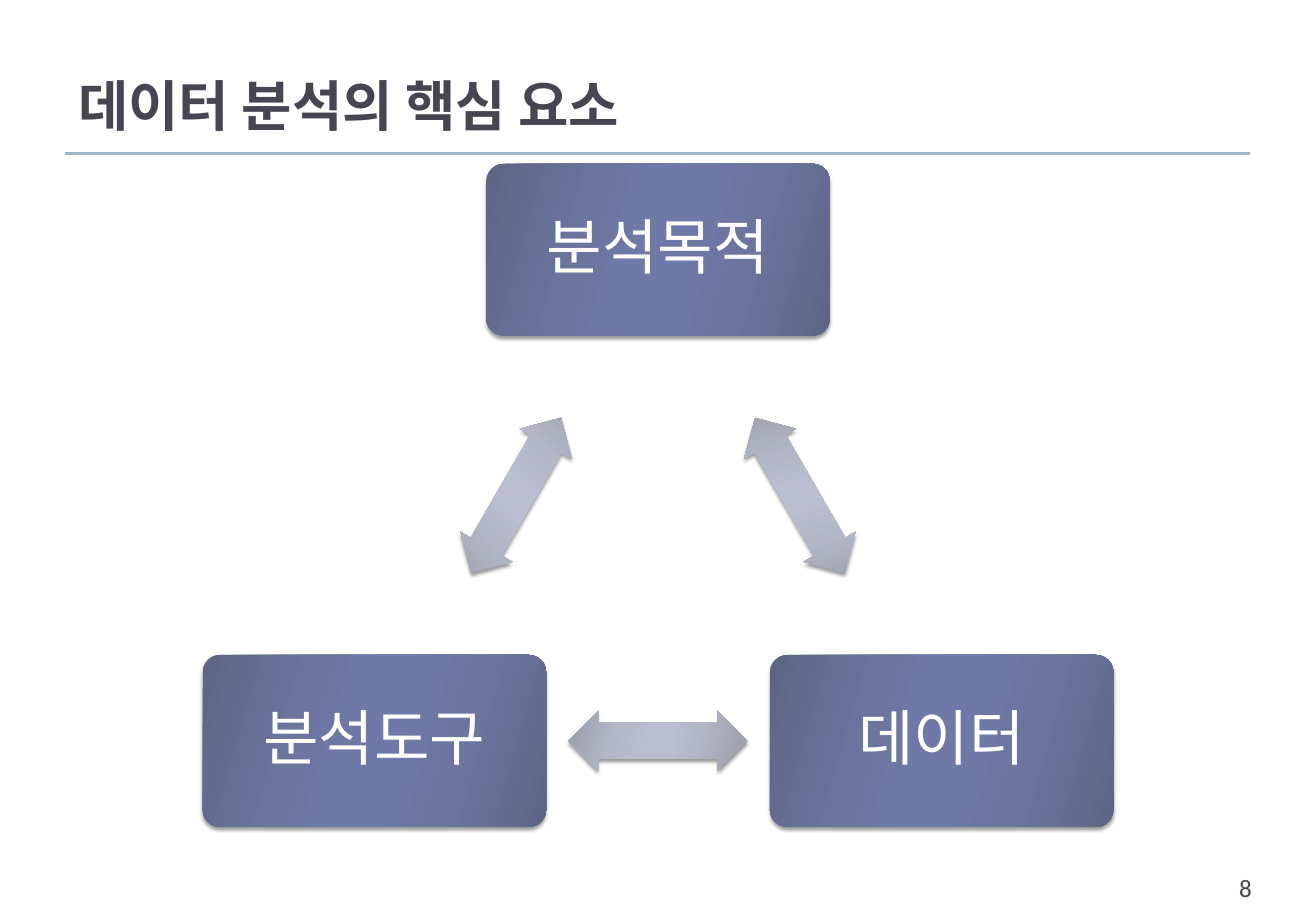
import math

from lxml import etree
from pptx import Presentation
from pptx import util as u
from pptx.dml.color import RGBColor
from pptx.enum import shapes, text
from pptx.oxml.ns import qn

WIDTH, HEIGHT = 19.69, 13.78
MARGIN = 0.98
INK, RULE, WHITE = "464653", "9FB8CD", "FFFFFF"
STOPS = (0, 30, 45, 55, 73, 100)
NODE_SHADES = ("5D6585", "6B759E", "6E79A7")
ARROW_SHADES = ("9A9CA9", "B2B6C6", "BABED0")
ELEMENTS = ("분석목적", "데이터", "분석도구")
NODE_SIZE, ARROW_SIZE = (5.14, 2.57), (2.68, 0.9)
RADIUS = 4.9


def color(value):
    """Turn a hex string into a colour."""
    return RGBColor.from_string(value)


def inches(*lengths):
    """Turn numbers into inch lengths."""
    return [u.Inches(length) for length in lengths]


def write(frame, words, size, font, ink, inset, align=None, bold=False, **layout):
    """Set one paragraph of styled text in a frame."""
    side, top = inches(*inset)
    layout.update(word_wrap=True, margin_left=side, margin_right=side,
                  margin_top=top, margin_bottom=top)
    for name, value in layout.items():
        setattr(frame, name, value)
    paragraph = frame.paragraphs[0]
    paragraph.text = words
    paragraph.alignment = align
    for name, value in {"name": font, "size": u.Pt(size), "bold": bold}.items():
        setattr(paragraph.font, name, value)
    paragraph.font.color.rgb = color(ink)
    return paragraph


def add_element(parent, tag, **attributes):
    """Append a DrawingML element."""
    return etree.SubElement(parent, qn(tag), attributes)


def add_glossy(slide, kind, center, size, shades, adjustments):
    """Place a gradient shape with a soft shadow around a centre point."""
    corner = [middle - length / 2 for middle, length in zip(center, size)]
    glossy = slide.shapes.add_shape(kind, *inches(*corner, *size))
    for index, value in enumerate(adjustments):
        glossy.adjustments[index] = value
    glossy.line.fill.background()
    glossy.fill.gradient()
    glossy.fill.gradient_angle = 344
    properties = glossy.element.spPr
    stops = properties.find(qn("a:gradFill")).find(qn("a:gsLst"))
    for stop in list(stops):
        stops.remove(stop)
    for position, shade in zip(STOPS, shades + shades[::-1]):
        stop = add_element(stops, "a:gs", pos=str(position * 1000))
        add_element(stop, "a:srgbClr", val=shade)
    glossy.shadow.inherit = False
    shadow = add_element(properties.find(qn("a:effectLst")), "a:outerShdw",
                         blurRad=str(u.Pt(4)), dist=str(u.Pt(3.4)),
                         dir="5400000", rotWithShape="0")
    shade = add_element(shadow, "a:srgbClr", val="000000")
    add_element(shade, "a:alpha", val="40000")
    return glossy


def add_heading(slide, left, top, width, height):
    """Place the title and the rule beneath it."""
    title = slide.shapes.add_textbox(*inches(left, top, width, height))
    write(title.text_frame, "데이터 분석의 핵심 요소", 59, "Arial", INK, (0.19, 0.1),
          bold=True, vertical_anchor=text.MSO_ANCHOR.BOTTOM)
    level = top + height + 0.15
    rule = slide.shapes.add_connector(
        shapes.MSO_CONNECTOR.STRAIGHT, *inches(left, level, left + width, level))
    rule.line.color.rgb = color(RULE)
    rule.line.width = u.Pt(3)
    add_element(rule.element.spPr, "a:effectLst")


def add_cycle(slide, center_x, center_y, radius):
    """Place the elements on a circle with an arrow between each pair."""
    step = 360 / len(ELEMENTS)

    def point(angle, reach):
        turn = math.radians(angle)
        return center_x + reach * math.sin(turn), center_y - reach * math.cos(turn)

    for index, element in enumerate(ELEMENTS):
        angle = index * step
        node = add_glossy(slide, shapes.MSO_SHAPE.ROUNDED_RECTANGLE,
                          point(angle, radius), NODE_SIZE, NODE_SHADES, [0.1])
        label = write(node.text_frame, element, 65, "Calibri", WHITE, (0.35, 0.35),
                      text.PP_ALIGN.CENTER, vertical_anchor=text.MSO_ANCHOR.MIDDLE)
        label.line_spacing = 0.9
        halfway = angle + step / 2
        arrow = add_glossy(slide, shapes.MSO_SHAPE.LEFT_RIGHT_ARROW,
                           point(halfway, radius * math.cos(math.radians(step / 2))),
                           ARROW_SIZE, ARROW_SHADES, [0.6, 0.5])
        arrow.rotation = halfway


def add_page_number(slide, left, top, width, height):
    """Place the page number."""
    number = slide.shapes.add_textbox(*inches(left, top, width, height))
    write(number.text_frame, "8", 27, "Calibri", INK, (0.19, 0.1))


def main():
    """Build the slide and save it."""
    deck = Presentation()
    deck.slide_width, deck.slide_height = inches(WIDTH, HEIGHT)
    slide = deck.slides.add_slide(deck.slide_layouts[6])
    add_heading(slide, MARGIN, 0.31, WIDTH - 2 * MARGIN, 1.84)
    add_cycle(slide, WIDTH / 2, 8.635, RADIUS)
    add_page_number(slide, 18.35, 12.96, 1.31, 0.73)
    deck.save("out.pptx")


if __name__ == "__main__":
    main()
